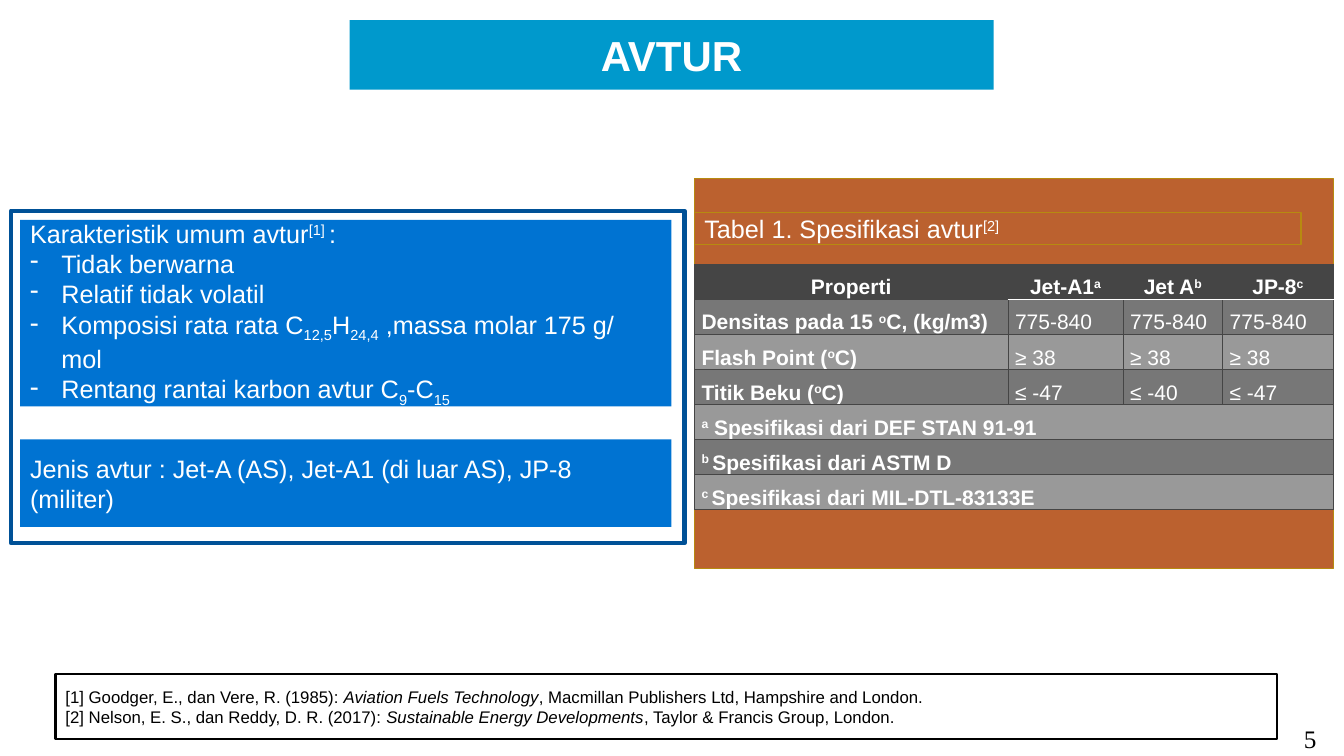
from dataclasses import dataclass

from lxml.etree import SubElement
from pptx import Presentation
from pptx.dml.color import RGBColor
from pptx.enum.shapes import MSO_SHAPE
from pptx.enum.text import MSO_ANCHOR, MSO_AUTO_SIZE, PP_ALIGN
from pptx.oxml.ns import qn
from pptx.util import Cm, Pt


@dataclass(frozen=True)
class Theme:
    font: str = "Arial"
    number_font: str = "Times New Roman"
    white: str = "FFFFFF"
    black: str = "000000"
    banner: str = "0099CC"
    card: str = "0073D2"
    frame: str = "005197"
    panel: str = "BB612F"
    gold: str = "B78A10"
    table_head: str = "454545"
    band_dark: str = "777777"
    band_light: str = "999999"
    title_size: float = 30
    body_size: float = 18
    table_size: float = 15
    reference_size: float = 12


@dataclass(frozen=True)
class Box:
    """A rectangle in centimetres."""
    left: float
    top: float
    width: float
    height: float

    def inner(self, dx, dy, width, height):
        return Box(self.left + dx, self.top + dy, width, height)

    def lengths(self):
        return [Cm(v) for v in (self.left, self.top, self.width, self.height)]


THEME = Theme()
SUP, SUB, ITALIC = "sup", "sub", "italic"
BASELINES = {SUP: "30000", SUB: "-25000"}

CHARACTERISTICS = [
    ["Tidak berwarna"],
    ["Relatif tidak volatil"],
    ["Komposisi rata rata C", ("12,5", SUB), "H", ("24,4", SUB), " ,massa molar 175 g/ mol"],
    ["Rentang rantai karbon avtur C", ("9", SUB), "-C", ("15", SUB)],
]
FUEL_TABLE = [
    [["Properti"], ["Jet-A1", ("a", SUP)], ["Jet A", ("b", SUP)], ["JP-8", ("c", SUP)]],
    [["Densitas pada 15 ", ("o", SUP), "C, (kg/m3)"], ["775-840"], ["775-840"], ["775-840"]],
    [["Flash Point (", ("o", SUP), "C)"], ["≥ 38"], ["≥ 38"], ["≥ 38"]],
    [["Titik Beku (", ("o", SUP), "C)"], ["≤ -47"], ["≤ -40"], ["≤ -47"]],
    [[("a", SUP), " Spesifikasi dari DEF STAN 91-91"]],
    [[("b ", SUP), "Spesifikasi dari ASTM D"]],
    [[("c ", SUP), "Spesifikasi dari MIL-DTL-83133E"]],
]
COLUMN_WIDTHS = [7.9, 2.9, 2.51, 2.79]
REFERENCES = [
    ["[1] Goodger, E., dan Vere, R. (1985): ", ("Aviation Fuels Technology", ITALIC),
     ", Macmillan Publishers Ltd, Hampshire and London."],
    ["[2] Nelson, E. S., dan Reddy, D. R. (2017): ", ("Sustainable Energy Developments", ITALIC),
     ", Taylor & Francis Group, London."],
]


def rgb(colour):
    return RGBColor.from_string(colour)


def write_runs(paragraph, parts, size, colour=THEME.white, font=THEME.font, bold=False):
    """Add one run per part; a part is a string or a (string, style) pair."""
    for part in parts:
        text, style = (part, None) if isinstance(part, str) else part
        run = paragraph.add_run()
        run.text = text
        run.font.name, run.font.size, run.font.bold = font, Pt(size), bold
        run.font.color.rgb = rgb(colour)
        if style == ITALIC:
            run.font.italic = True
        elif style:
            run.font._element.set("baseline", BASELINES[style])


def write_paragraphs(frame, paragraphs, size, align=PP_ALIGN.LEFT, **look):
    frame.word_wrap = True
    frame.auto_size = MSO_AUTO_SIZE.NONE
    frame.vertical_anchor = MSO_ANCHOR.MIDDLE
    for index, parts in enumerate(paragraphs):
        paragraph = frame.add_paragraph() if index else frame.paragraphs[0]
        paragraph.alignment = align
        write_runs(paragraph, parts, size, **look)


def add_dash(paragraph):
    properties = paragraph._p.get_or_add_pPr()
    properties.set("marL", str(Cm(0.79)))
    properties.set("indent", str(-Cm(0.79)))
    SubElement(properties, qn("a:buChar"), char="-")


def add_rectangle(slide, box, fill=None, line=None, line_width=1):
    rectangle = slide.shapes.add_shape(MSO_SHAPE.RECTANGLE, *box.lengths())
    rectangle.shadow.inherit = False
    if fill:
        rectangle.fill.solid()
        rectangle.fill.fore_color.rgb = rgb(fill)
    else:
        rectangle.fill.background()
    if line:
        rectangle.line.color.rgb = rgb(line)
        rectangle.line.width = Pt(line_width)
    else:
        rectangle.line.fill.background()
    return rectangle


def add_title(slide, box):
    title = slide.shapes.title
    title.left, title.top, title.width, title.height = box.lengths()
    title.fill.solid()
    title.fill.fore_color.rgb = rgb(THEME.banner)
    write_paragraphs(title.text_frame, [["AVTUR"]], THEME.title_size, PP_ALIGN.CENTER, bold=True)


def add_characteristics(slide, box):
    add_rectangle(slide, box, line=THEME.frame, line_width=3)
    kinds = add_rectangle(slide, box.inner(0.23, 5.76, 16.41, 2.21), THEME.card)
    write_paragraphs(kinds.text_frame,
                     [["Jenis avtur : Jet-A (AS), Jet-A1 (di luar AS), JP-8 (militer)"]],
                     THEME.body_size)
    general = add_rectangle(slide, box.inner(0.23, 0.23, 16.41, 4.7), THEME.card)
    heading = ["Karakteristik umum avtur", ("[1] ", SUP), ":"]
    write_paragraphs(general.text_frame, [heading, *CHARACTERISTICS], THEME.body_size)
    for paragraph in general.text_frame.paragraphs[1:]:
        add_dash(paragraph)


def style_cell(cell, fill, white_edge=None):
    """Set margins, borders and fill; white_edge names a border drawn in white."""
    cell.margin_left = cell.margin_right = Cm(0.18)
    cell.margin_top = cell.margin_bottom = 0
    properties = cell._tc.get_or_add_tcPr()
    for edge in ("lnL", "lnR", "lnT", "lnB"):
        white = edge == white_edge
        border = SubElement(properties, qn(f"a:{edge}"), w=str(Pt(1 if white else 0.5)))
        solid = SubElement(border, qn("a:solidFill"))
        SubElement(solid, qn("a:srgbClr"), val=THEME.white if white else THEME.table_head)
    cell.fill.solid()
    cell.fill.fore_color.rgb = rgb(fill)


def add_fuel_table(slide, box):
    rows, columns = len(FUEL_TABLE), len(COLUMN_WIDTHS)
    table = slide.shapes.add_table(rows, columns, *box.lengths()).table
    table.first_row = table.horz_banding = False
    for column, width in zip(table.columns, COLUMN_WIDTHS):
        column.width = Cm(width)
    for r, entries in enumerate(FUEL_TABLE):
        band = THEME.band_dark if r % 2 else THEME.band_light
        for c in range(columns):
            white_edge = {0: "lnB", 1: "lnT"}.get(r) if c else None
            style_cell(table.cell(r, c), band if r else THEME.table_head, white_edge)
        if len(entries) == 1:
            table.cell(r, 0).merge(table.cell(r, columns - 1))
        for c, parts in enumerate(entries):
            paragraph = table.cell(r, c).text_frame.paragraphs[0]
            paragraph.alignment = PP_ALIGN.LEFT if r else PP_ALIGN.CENTER
            paragraph.line_spacing, paragraph.space_after = 1.5, Pt(8)
            write_runs(paragraph, parts, THEME.table_size, bold=r == 0 or c == 0)


def add_specification(slide, box):
    add_rectangle(slide, box, THEME.panel, THEME.gold)
    add_fuel_table(slide, box.inner(0, 2.16, box.width, 5.95))
    caption = add_rectangle(slide, box.inner(0, 0.86, 15.29, 0.81), line=THEME.gold)
    write_paragraphs(caption.text_frame, [["Tabel 1. Spesifikasi avtur", ("[2]", SUP)]],
                     THEME.body_size)


def add_footer(slide, box):
    number = add_rectangle(slide, box.inner(30.78, 1.2, 1.68, 0.86), THEME.white)
    write_paragraphs(number.text_frame, [["5"]], THEME.body_size, PP_ALIGN.CENTER,
                     colour=THEME.black, font=THEME.number_font)
    references = add_rectangle(slide, box, line=THEME.black, line_width=1.5)
    write_paragraphs(references.text_frame, REFERENCES, THEME.reference_size, colour=THEME.black)


def main():
    deck = Presentation()
    deck.slide_width, deck.slide_height = Cm(33.87), Cm(19.05)
    slide = deck.slides.add_slide(deck.slide_layouts.get_by_name("Title Only"))
    add_title(slide, Box(8.81, 0.51, 16.23, 1.75))
    add_characteristics(slide, Box(0.28, 5.31, 16.97, 8.38))
    add_specification(slide, Box(17.5, 4.5, 16.1, 9.83))
    add_footer(slide, Box(1.4, 16.99, 30.78, 1.63))
    deck.save("out.pptx")


if __name__ == "__main__":
    main()
